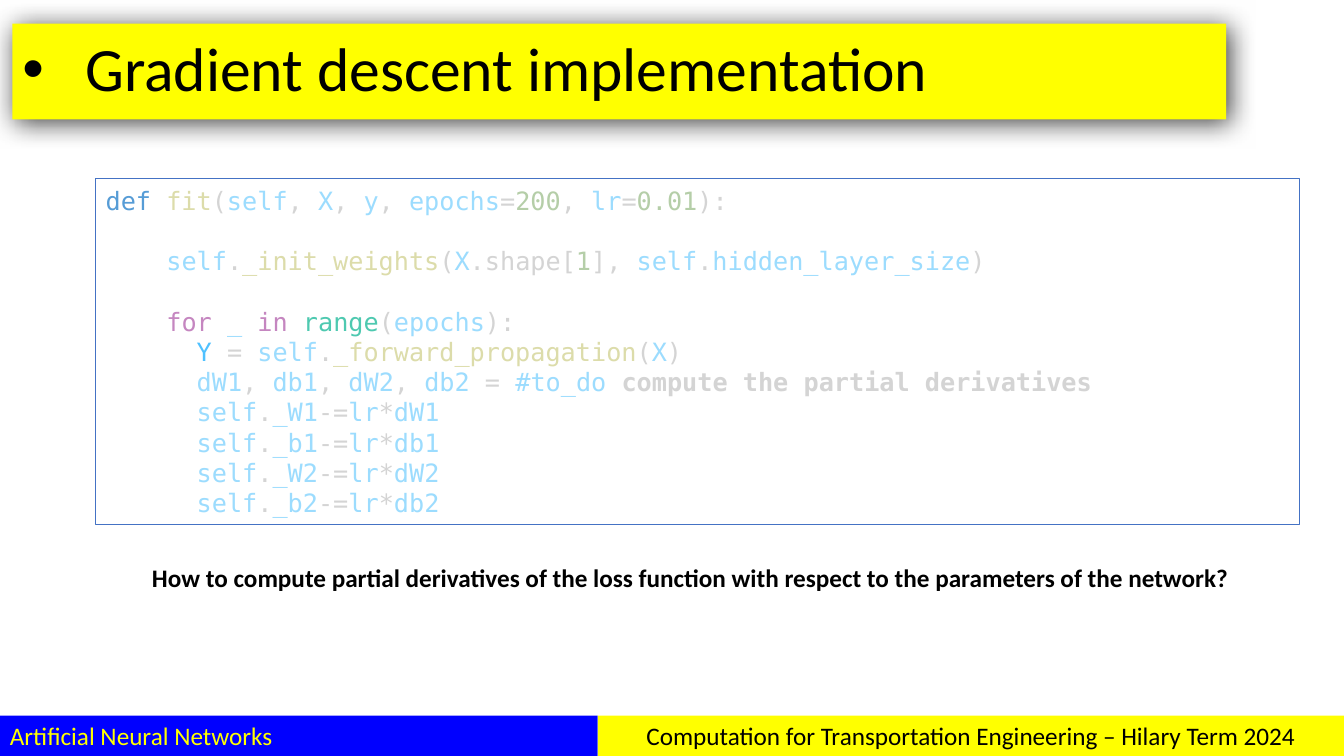
from lxml import etree
from pptx import Presentation
from pptx.dml.color import RGBColor
from pptx.enum.shapes import MSO_SHAPE
from pptx.enum.text import MSO_ANCHOR, PP_ALIGN
from pptx.oxml.ns import qn
from pptx.util import Pt

RECTANGLE = MSO_SHAPE.RECTANGLE
TOP, MIDDLE = MSO_ANCHOR.TOP, MSO_ANCHOR.MIDDLE
LEFT, CENTER = PP_ALIGN.LEFT, PP_ALIGN.CENTER

PAGE_WIDTH, PAGE_HEIGHT = 960, 540
FOOTER_HEIGHT, FOOTER_SPLIT = 28.8, 427
CODE_LINE, CODE_CHAR = 21.6, 10.84
BODY_FONT, CODE_FONT = "Calibri", "DejaVu Sans Mono"
BLACK, YELLOW, BLUE, BORDER = "000000", "FFFF00", "0000FF", "4472C4"

VARIABLE, PUNCTUATION = "9CDCFE", "D4D4D4"
TASK = "compute the partial derivatives"
TOKEN_COLORS = {
    "def": "569CD6", "range": "4EC9B0", "Y": "4FC1FF", TASK: PUNCTUATION,
    **dict.fromkeys(("for", "in"), "C586C0"),
    **dict.fromkeys(("fit", "_init_weights", "_forward_propagation"), "DCDCAA"),
    **dict.fromkeys(("200", "0.01", "1"), "B5CEA8"),
}

# Each line: indent in characters, blank lines above, tokens separated by "|"
CODE = [
    (0, 0, "def |fit|(|self|, |X|, |y|, |epochs|=|200|, |lr|=|0.01|):"),
    (4, 1, "self|.|_init_weights|(|X|.shape[|1|], |self|.|hidden_layer_size|)"),
    (4, 1, "for |_ |in |range|(|epochs|):"),
    (6, 0, "Y| = |self|.|_forward_propagation|(|X|)"),
    (6, 0, f"dW1|, |db1|, |dW2|, |db2| = |#to_do |{TASK}"),
    *[(6, 0, f"self|.|_{name}|-=|lr|*|d{name}") for name in ("W1", "b1", "W2", "b2")],
]


def rgb(color):
    return RGBColor.from_string(color)


def token_color(token):
    is_name = token[0].isalnum() or token[0] in "_#"
    return TOKEN_COLORS.get(token.strip(), VARIABLE if is_name else PUNCTUATION)


def set_all(target, values):
    for name, value in values.items():
        setattr(target, name, value)


class SlideBuilder:
    def __init__(self, slide):
        self.slide = slide

    def add_text(self, paragraph, text, color, size=18, font=BODY_FONT, bold=False):
        run = paragraph.add_run()
        run.text = text
        set_all(run.font, {"name": font, "size": Pt(size), "bold": bold})
        run.font.color.rgb = rgb(color)

    def bar(self, left, top, width, height, fill=None, line=None, anchor=TOP):
        """Add a rectangle and return it, ready for text."""
        bar = self.slide.shapes.add_shape(
            RECTANGLE, Pt(left), Pt(top), Pt(width), Pt(height))
        bar.shadow.inherit = False
        if fill:
            bar.fill.solid()
            bar.fill.fore_color.rgb = rgb(fill)
        else:
            bar.fill.background()
        if line:
            bar.line.color.rgb = rgb(line)
            bar.line.width = Pt(0.75)
        else:
            bar.line.fill.background()
        set_all(bar.text_frame, {"word_wrap": True, "vertical_anchor": anchor})
        return bar

    def title(self, text, left, top, width, height):
        bar = self.bar(left, top, width, height, YELLOW, anchor=MIDDLE)
        paragraph = bar.text_frame.paragraphs[0]
        set_all(paragraph, {"alignment": LEFT, "line_spacing": 0.9})
        self.add_text(paragraph, text, BLACK, 44)
        self.bullet(paragraph, 45)
        self.drop_shadow(bar)

    def bullet(self, paragraph, indent):
        properties = paragraph._p.get_or_add_pPr()
        properties.set("marL", str(Pt(indent)))
        properties.set("indent", str(-Pt(indent)))
        etree.SubElement(properties, qn("a:buFont"), typeface="Arial")
        etree.SubElement(properties, qn("a:buChar"), char="•")

    def drop_shadow(self, shape):
        effects = shape._element.spPr.find(qn("a:effectLst"))
        shadow = etree.SubElement(
            effects, qn("a:outerShdw"), blurRad=str(Pt(19)), dist=str(Pt(3)),
            dir=str(45 * 60000), algn="tl", rotWithShape="0")
        color = etree.SubElement(shadow, qn("a:srgbClr"), val=BLACK)
        etree.SubElement(color, qn("a:alpha"), val="74000")

    def footer(self, text, left, right, fill, color, alignment):
        bar = self.bar(left, PAGE_HEIGHT - FOOTER_HEIGHT, right - left,
                       FOOTER_HEIGHT, fill)
        paragraph = bar.text_frame.paragraphs[0]
        paragraph.alignment = alignment
        self.add_text(paragraph, text, color)

    def code(self, lines, left, top, width, height):
        frame = self.bar(left, top, width, height, line=BORDER,
                         anchor=MIDDLE).text_frame
        for number, (indent, blank_lines, tokens) in enumerate(lines):
            paragraph = frame.add_paragraph() if number else frame.paragraphs[0]
            set_all(paragraph, {"alignment": LEFT, "line_spacing": Pt(CODE_LINE),
                                "space_before": Pt(blank_lines * CODE_LINE)})
            paragraph._p.get_or_add_pPr().set("marL", str(Pt(indent * CODE_CHAR)))
            for token in tokens.split("|"):
                self.add_text(paragraph, token, token_color(token),
                              font=CODE_FONT, bold=token == TASK)

    def question(self, text, left, top, width, height):
        box = self.slide.shapes.add_textbox(Pt(left), Pt(top), Pt(width), Pt(height))
        box.text_frame.word_wrap = True
        self.add_text(box.text_frame.paragraphs[0], text, BLACK, bold=True)


def main():
    deck = Presentation()
    set_all(deck, {"slide_width": Pt(PAGE_WIDTH), "slide_height": Pt(PAGE_HEIGHT)})
    builder = SlideBuilder(deck.slides.add_slide(deck.slide_layouts[6]))

    builder.title("Gradient descent implementation", 8.9, 16.8, 866.9, 68.4)
    builder.footer("Artificial Neural Networks", 0, FOOTER_SPLIT,
                   BLUE, YELLOW, LEFT)
    builder.footer("Computation for Transportation Engineering – Hilary Term 2024",
                   FOOTER_SPLIT, PAGE_WIDTH, YELLOW, BLACK, CENTER)
    builder.code(CODE, 68.4, 127.4, 859.7, 247)
    builder.question("How to compute partial derivatives of the loss function with "
                     "respect to the parameters of the network?",
                     101.5, 398.2, 789.1, 28.8)
    deck.save("out.pptx")


if __name__ == "__main__":
    main()
